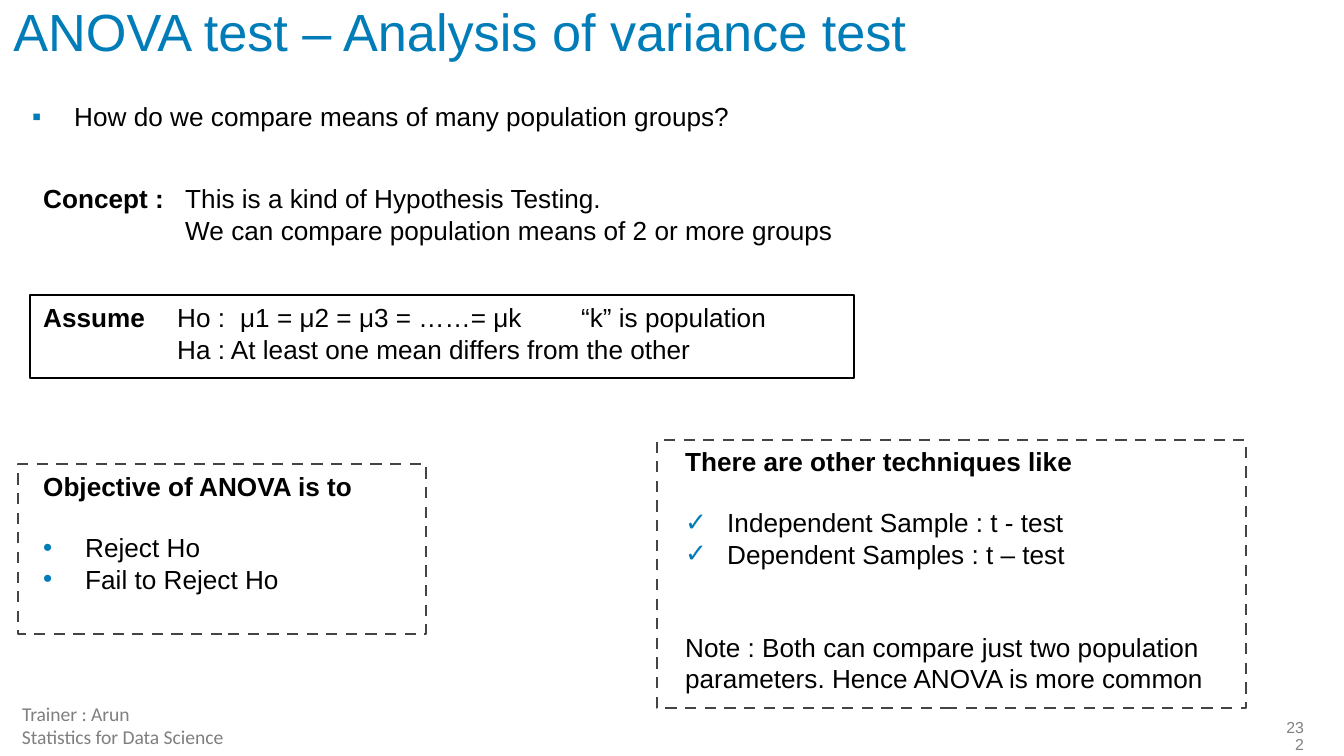
from dataclasses import dataclass
from typing import Any, Optional

from lxml.etree import SubElement
from pptx import Presentation
from pptx.dml.color import RGBColor
from pptx.enum.dml import MSO_LINE
from pptx.enum.shapes import MSO_SHAPE
from pptx.enum.text import MSO_ANCHOR, MSO_AUTO_SIZE, PP_ALIGN
from pptx.oxml.ns import qn
from pptx.util import Pt

EMU_PER_PX = 914400 / 134.4


@dataclass(frozen=True)
class Theme:
    accent: str = "007DB8"
    ink: str = "000000"
    dash: str = "444444"
    footer: str = "7F7F7F"
    number: str = "808080"
    font: str = "Arial"
    footer_font: str = "Calibri"
    title_size: float = 28
    body_size: float = 14
    footer_size: float = 10.5
    number_size: float = 8.5


T = Theme()


@dataclass(frozen=True)
class Box:
    x: int
    y: int
    w: int
    h: int


@dataclass(frozen=True)
class Style:
    size: float = T.body_size
    font: str = T.font
    color: str = T.ink


@dataclass(frozen=True)
class Para:
    text: str = ""
    lead: str = ""
    bullet: str = ""
    tabs: tuple[int, ...] = ()
    before: int = 0
    spacing: Optional[float] = None
    align: PP_ALIGN = PP_ALIGN.LEFT


@dataclass(frozen=True)
class TextBlock:
    box: Box
    paras: tuple[Para, ...]
    style: Style = Style()
    tight: bool = False


@dataclass(frozen=True)
class Frame:
    box: Box
    color: str
    width: float
    dashed: bool = False


def px(n: int) -> int:
    return round(n * EMU_PER_PX)


def set_attrs(obj: Any, values: dict[str, Any]) -> None:
    for name, value in values.items():
        setattr(obj, name, value)


def place(sp: Any, box: Box) -> None:
    set_attrs(sp, {"left": px(box.x), "top": px(box.y),
                   "width": px(box.w), "height": px(box.h)})


def add_bullet(p: Any, char: str) -> None:
    pPr = p._p.get_or_add_pPr()
    pPr.set("marL", str(px(42)))
    pPr.set("indent", str(px(-42)))
    clr = SubElement(pPr, qn("a:buClr"))
    SubElement(clr, qn("a:srgbClr"), val=T.accent)
    SubElement(pPr, qn("a:buFont"), typeface=T.font)
    SubElement(pPr, qn("a:buChar"), char=char)


def add_tabs(p: Any, stops: tuple[int, ...]) -> None:
    tabs = SubElement(p._p.get_or_add_pPr(), qn("a:tabLst"))
    for stop in stops:
        SubElement(tabs, qn("a:tab"), pos=str(px(stop)), algn="l")


def add_run(p: Any, text: str, style: Style, bold: bool) -> None:
    r = p.add_run()
    r.text = text
    set_attrs(r.font, {"size": Pt(style.size), "name": style.font, "bold": bold})
    r.font.color.rgb = RGBColor.from_string(style.color)


def write(tf: Any, paras: tuple[Para, ...], style: Style) -> None:
    for i, para in enumerate(paras):
        p = tf.add_paragraph() if i else tf.paragraphs[0]
        if para.bullet:
            add_bullet(p, para.bullet)
        if para.tabs:
            add_tabs(p, para.tabs)
        set_attrs(p, {"alignment": para.align, "space_before": Pt(para.before),
                      "line_spacing": para.spacing})
        for text, bold in ((para.lead, True), (para.text, False)):
            if text:
                add_run(p, text, style, bold)


def add_title(s: Any, block: TextBlock) -> None:
    sp = s.shapes.title
    place(sp, block.box)
    set_attrs(sp.text_frame, {"word_wrap": True, "auto_size": MSO_AUTO_SIZE.NONE,
                              "vertical_anchor": MSO_ANCHOR.TOP})
    write(sp.text_frame, block.paras, block.style)


def add_text(s: Any, block: TextBlock) -> None:
    sp = s.shapes.add_textbox(0, 0, 0, 0)
    place(sp, block.box)
    tf = sp.text_frame
    tf.word_wrap = True
    if block.tight:
        set_attrs(tf, {"margin_left": 0, "margin_right": 0, "margin_top": 0,
                       "margin_bottom": 0, "vertical_anchor": MSO_ANCHOR.MIDDLE})
    write(tf, block.paras, block.style)


def add_frame(s: Any, frame: Frame) -> None:
    sp = s.shapes.add_shape(MSO_SHAPE.RECTANGLE, 0, 0, 0, 0)
    place(sp, frame.box)
    sp.shadow.inherit = False
    sp.fill.background()
    sp.line.color.rgb = RGBColor.from_string(frame.color)
    sp.line.width = Pt(frame.width)
    if frame.dashed:
        sp.line.dash_style = MSO_LINE.DASH


FOOTER = Style(T.footer_size, T.footer_font, T.footer)
TITLE = TextBlock(
    Box(0, 0, 1210, 94),
    (Para("ANOVA test – Analysis of variance test", spacing=0.9),),
    Style(T.title_size, T.font, T.accent))
TEXTS = (
    TextBlock(Box(1284, 728, 20, 18),
              (Para("232", spacing=0.9, align=PP_ALIGN.RIGHT),),
              Style(T.number_size, T.font, T.number), tight=True),
    TextBlock(Box(22, 702, 175, 24), (Para("Trainer : Arun"),), FOOTER, tight=True),
    TextBlock(Box(22, 725, 245, 24), (Para("Statistics for Data Science"),),
              FOOTER, tight=True),
    TextBlock(Box(19, 94, 835, 46), (
        Para("How do we compare means of many population groups?", bullet="▪"),)),
    TextBlock(Box(30, 176, 1216, 77), (
        Para("\tThis is a kind of Hypothesis Testing.", "Concept :", tabs=(142,)),
        Para("\tWe can compare population means of 2 or more groups", tabs=(142,)))),
    TextBlock(Box(30, 295, 814, 77), (
        Para("\tHo :\tμ1 = μ2 = μ3 = ……= μk\t“k” is population", "Assume",
             tabs=(134, 197, 538)),
        Para("\tHa : At least one mean differs from the other", tabs=(134,)))),
    TextBlock(Box(30, 464, 372, 140), (
        Para(lead="Objective of ANOVA is to"),
        Para("Reject Ho", bullet="•", before=16),
        Para("Fail to Reject Ho", bullet="•"))),
    TextBlock(Box(672, 439, 616, 267), (
        Para(lead="There are other techniques like"),
        Para("Independent Sample : t - test", bullet="✓", before=16),
        Para("Dependent Samples : t – test", bullet="✓"),
        Para("Note : Both can compare just two population parameters. "
             "Hence ANOVA is more common", before=33))),
)
FRAMES = (
    Frame(Box(18, 464, 408, 170), T.dash, 1.5, dashed=True),
    Frame(Box(657, 440, 589, 268), T.dash, 1.5, dashed=True),
    Frame(Box(30, 295, 824, 83), T.ink, 1),
)


def main() -> None:
    prs = Presentation()
    set_attrs(prs, {"slide_width": px(1344), "slide_height": px(756)})
    s = prs.slides.add_slide(prs.slide_layouts[5])
    add_title(s, TITLE)
    for block in TEXTS:
        add_text(s, block)
    for frame in FRAMES:
        add_frame(s, frame)
    prs.save("out.pptx")


if __name__ == "__main__":
    main()
